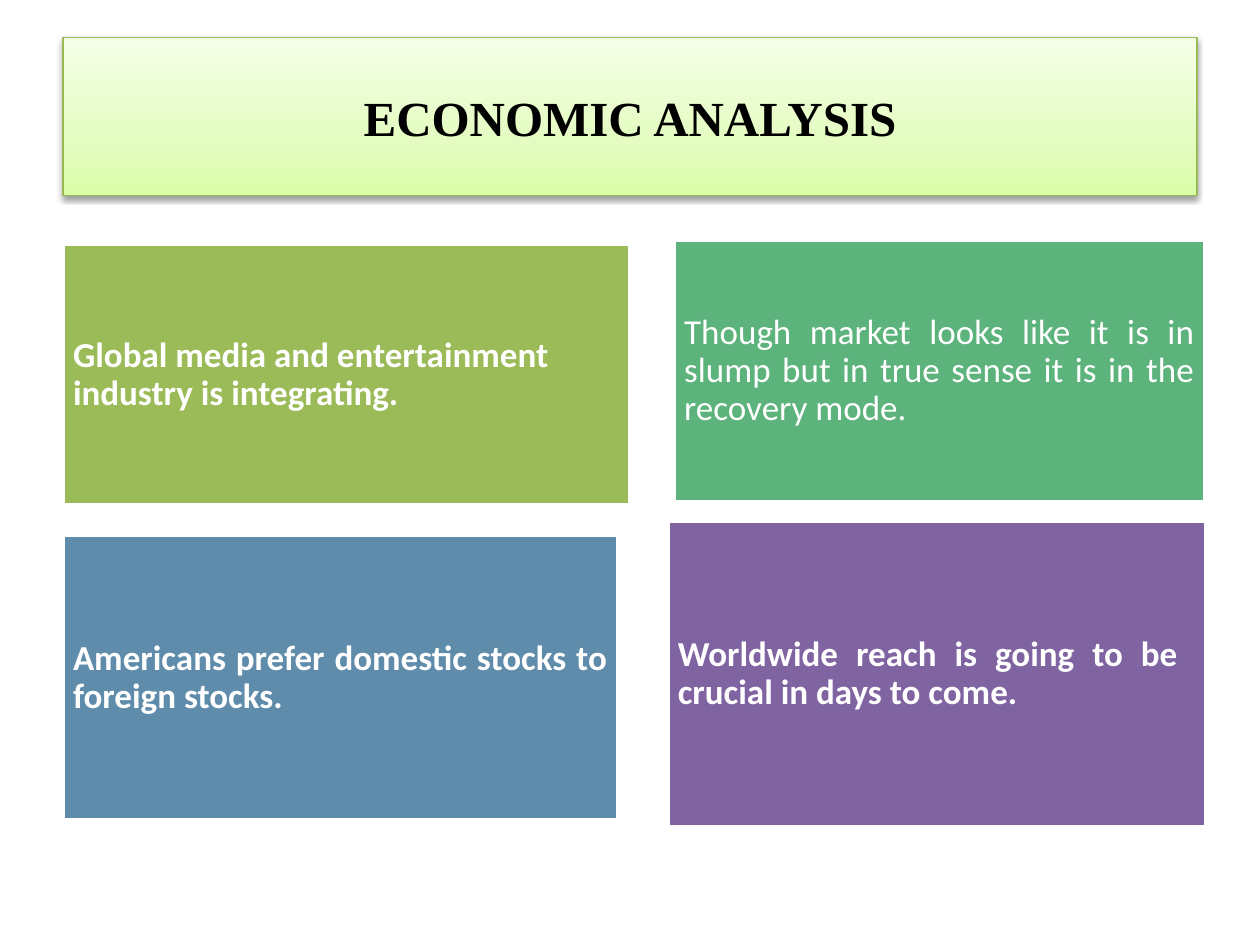
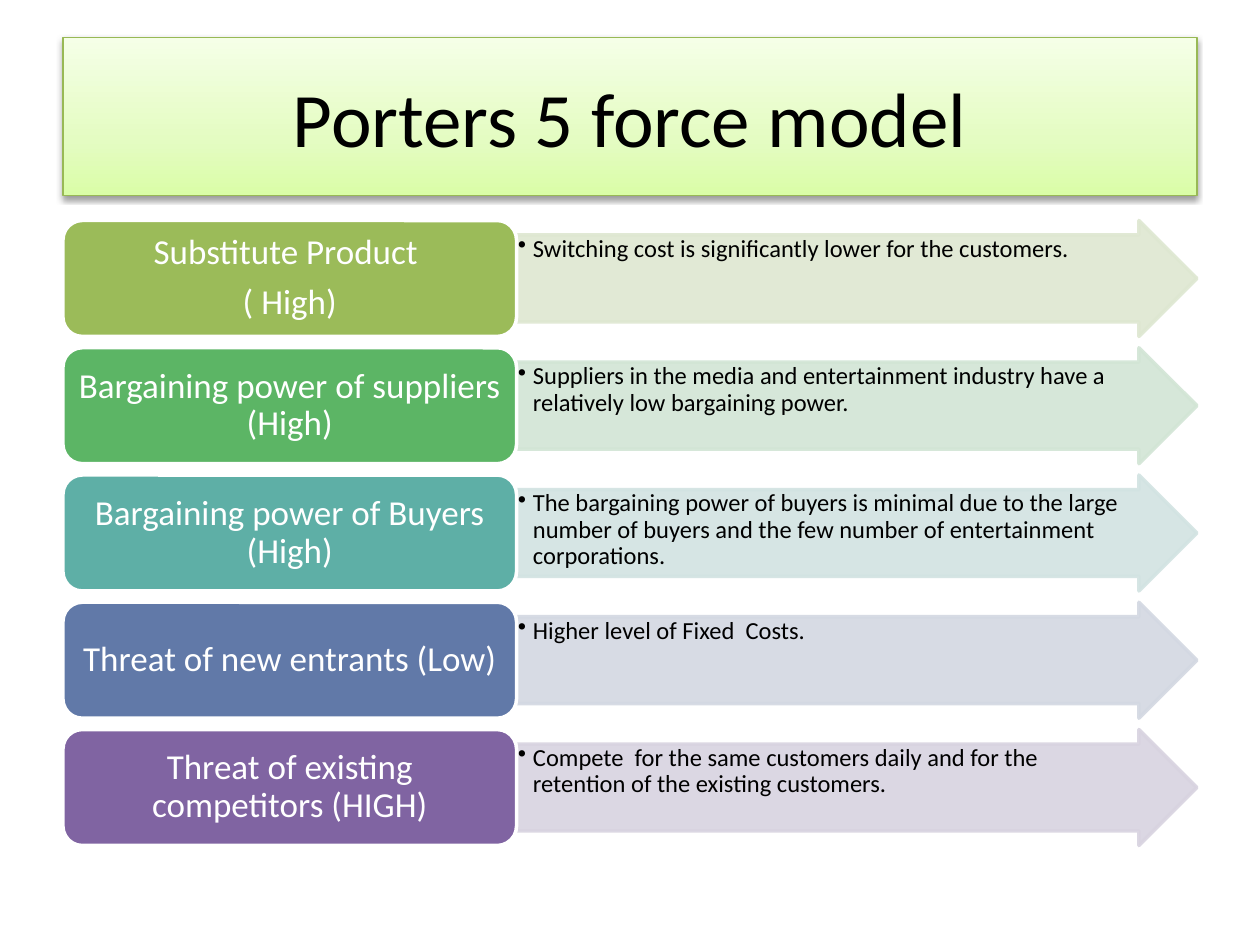
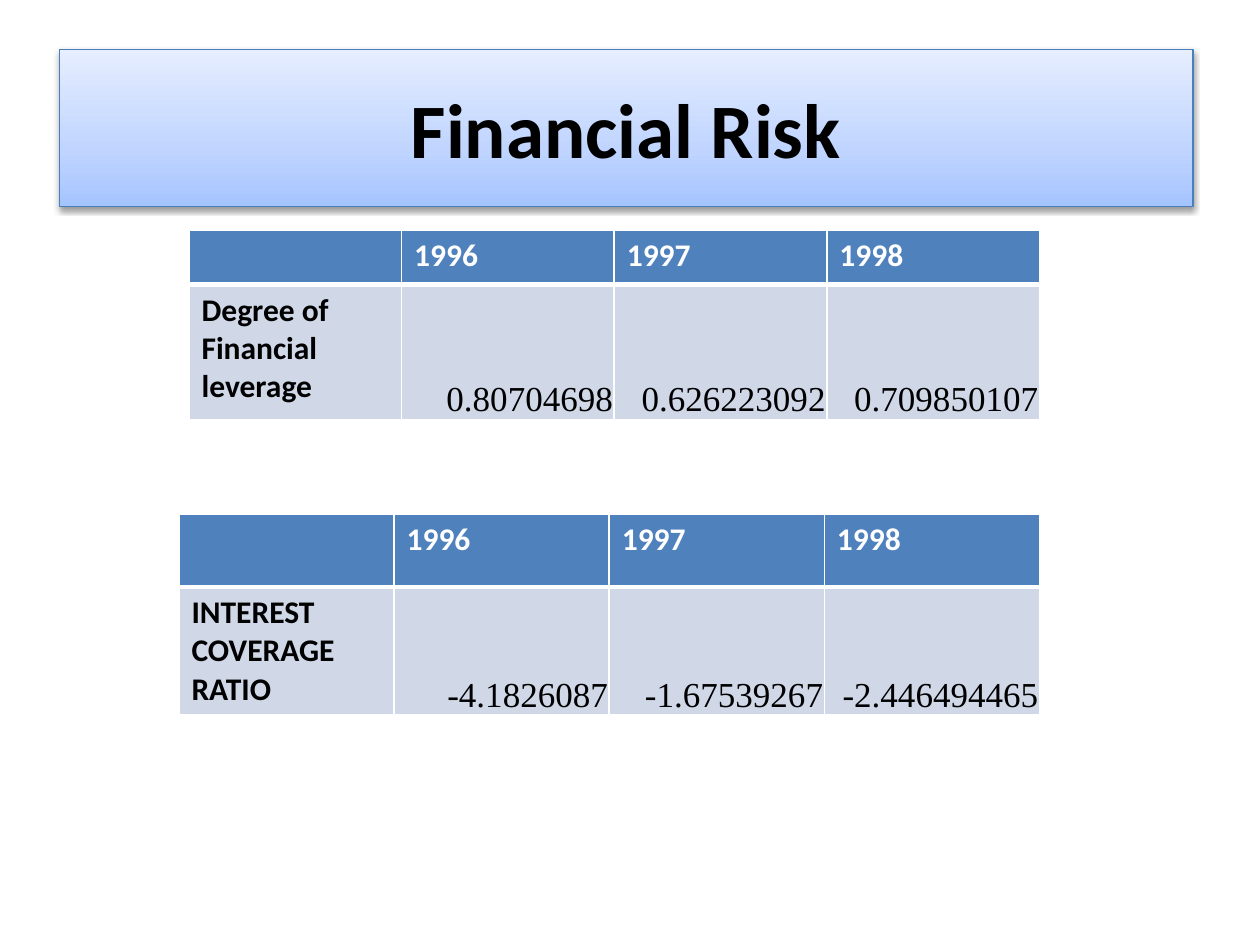
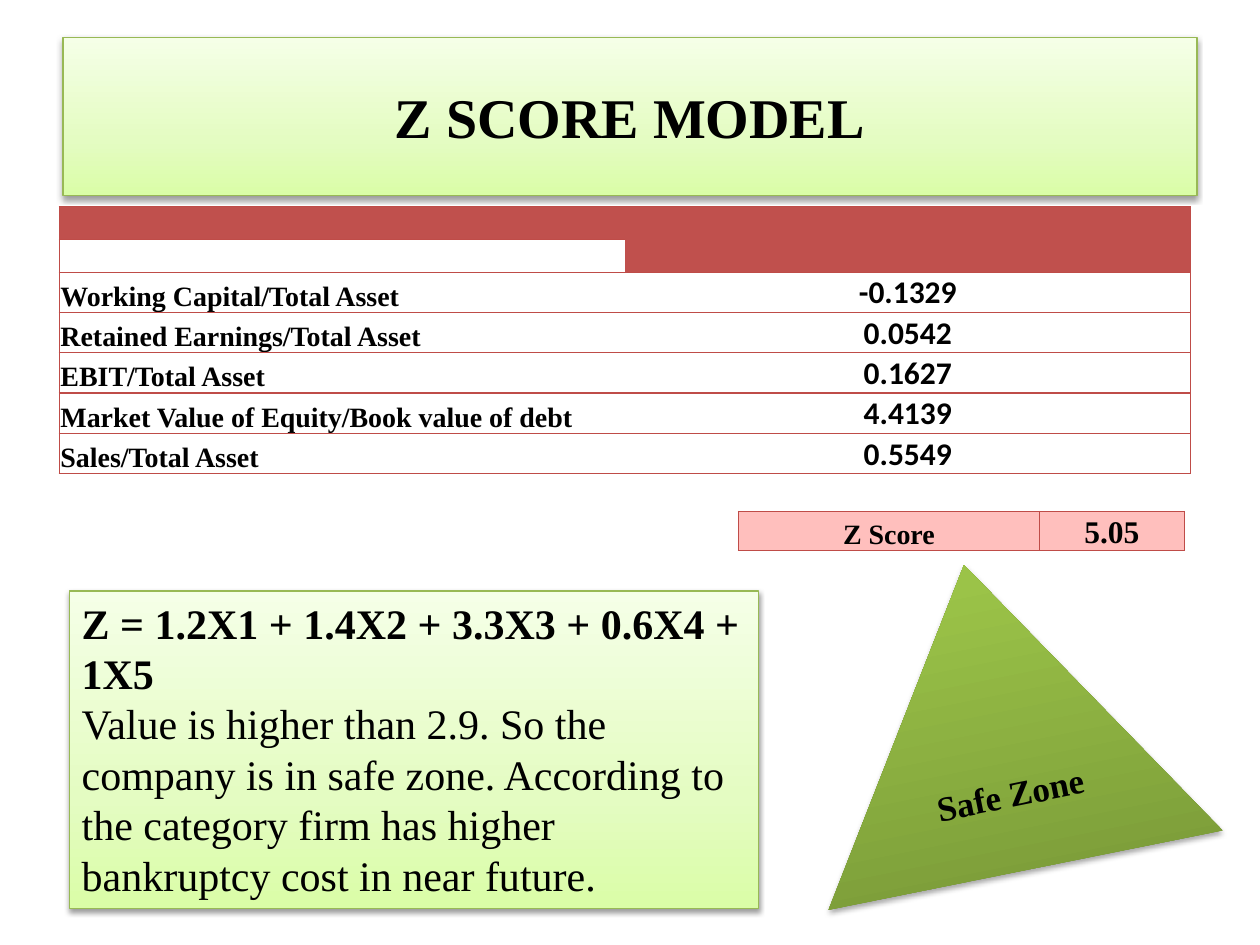
from dataclasses import dataclass, replace

from lxml.etree import SubElement, Element
from pptx import Presentation
from pptx.dml.color import RGBColor
from pptx.enum.shapes import MSO_SHAPE
from pptx.enum.text import MSO_ANCHOR, PP_ALIGN
from pptx.oxml.ns import qn
from pptx.shapes.autoshape import Shape
from pptx.slide import Slide
from pptx.table import Table, _Cell
from pptx.text.text import TextFrame
from pptx.util import Inches, Pt

BLACK = RGBColor(0x00, 0x00, 0x00)
WHITE = RGBColor(0xFF, 0xFF, 0xFF)
OLIVE = RGBColor(0x9B, 0xBB, 0x59)
OLIVE_LINE = RGBColor(0x98, 0xB9, 0x55)
MINT = RGBColor(0x5C, 0xB3, 0x7C)
STEEL = RGBColor(0x60, 0x8C, 0xAB)
PURPLE = RGBColor(0x80, 0x64, 0xA2)
GREEN = RGBColor(0x5C, 0xB5, 0x65)
TEAL = RGBColor(0x5E, 0xAF, 0xA6)
INDIGO = RGBColor(0x61, 0x79, 0xA8)
PALE_OLIVE = RGBColor(0xDE, 0xE7, 0xD1)
PALE_GREEN = RGBColor(0xD2, 0xE5, 0xD5)
PALE_TEAL = RGBColor(0xD2, 0xE3, 0xE2)
PALE_INDIGO = RGBColor(0xD3, 0xD8, 0xE2)
PALE_PURPLE = RGBColor(0xD8, 0xD3, 0xE0)
BLUE = RGBColor(0x4F, 0x81, 0xBD)
BLUE_LINE = RGBColor(0x4B, 0x7E, 0xBC)
PALE_BLUE = RGBColor(0xD0, 0xD8, 0xE8)
RED = RGBColor(0xC0, 0x50, 0x4D)
RED_LINE = RGBColor(0xBF, 0x4C, 0x48)
PINK = RGBColor(0xFF, 0xBF, 0xBD)

SANS, SERIF = "Calibri", "Times New Roman"


@dataclass(frozen=True)
class Box:
    left: float
    top: float
    width: float
    height: float

    def lengths(self) -> list[Inches]:
        return [Inches(v) for v in (self.left, self.top, self.width, self.height)]


@dataclass(frozen=True)
class Style:
    size: int
    name: str = SANS
    bold: bool = False
    color: RGBColor = BLACK
    align: PP_ALIGN = PP_ALIGN.LEFT
    spacing: float = 1.0
    after: int = 0


@dataclass(frozen=True)
class Glow:
    stops: tuple[tuple[int, str], ...]
    line: RGBColor | None
    shade: int = 38


@dataclass(frozen=True)
class Panel:
    box: Box
    fill: RGBColor
    text: str
    bold: bool = True
    align: PP_ALIGN = PP_ALIGN.JUSTIFY


@dataclass(frozen=True)
class Force:
    name: str
    reason: str
    fill: RGBColor
    pale: RGBColor


@dataclass(frozen=True)
class Ratio:
    box: Box
    header: float
    name: str
    values: tuple[str, ...]


LIME_GLOW = Glow(((0, "DAFDA7"), (35, "E4FCC2"), (100, "F5FFE7")), OLIVE_LINE)
BLUE_GLOW = Glow(((0, "A4C4FF"), (35, "BFD4FF"), (100, "E6EEFF")), BLUE_LINE)
LEAF_GLOW = Glow(((0, "779737"), (80, "9BC348"), (100, "9DC746")), None, 35)

TITLE_BOX = Box(0.5, 0.3, 9, 1.25)
TITLE = Style(44, align=PP_ALIGN.CENTER)
SERIF_TITLE = replace(TITLE, name=SERIF, bold=True)
DIAGRAM = Style(20, color=WHITE, align=PP_ALIGN.CENTER, spacing=0.9, after=7)
REASON = Style(14, spacing=0.9, after=2)
HEADER = Style(18, bold=True, color=WHITE)
TIGHT = (0.01, 0.01, 0.01, 0)
ROOMY = (0.1, 0.05, 0.1, 0.05)

PANELS = [
    Panel(Box(0.5, 1.94, 4.5, 2.07), OLIVE,
          "Global media and entertainment industry is integrating.", align=PP_ALIGN.LEFT),
    Panel(Box(5.35, 1.91, 4.21, 2.07), MINT,
          "Though market looks like it is in slump but in true sense it is in the "
          "recovery mode.", bold=False),
    Panel(Box(0.5, 4.25, 4.4, 2.26), STEEL,
          "Americans prefer domestic stocks to foreign stocks. "),
    Panel(Box(5.3, 4.14, 4.27, 2.42), PURPLE,
          "Worldwide reach is going to be  crucial in days to come."),
]

FORCES = [
    Force("Substitute Product \n( High)",
          "Switching cost is significantly lower for the customers.", OLIVE, PALE_OLIVE),
    Force("Bargaining power of suppliers (High)",
          "Suppliers in the media and entertainment industry have a relatively low "
          "bargaining power. ", GREEN, PALE_GREEN),
    Force("Bargaining power of Buyers (High)",
          "The bargaining power of buyers is minimal due to the large number of buyers "
          "and the few number of entertainment corporations.", TEAL, PALE_TEAL),
    Force("Threat of new entrants (Low)", "Higher level of Fixed  Costs.",
          INDIGO, PALE_INDIGO),
    Force("Threat of existing competitors (HIGH)",
          "Compete  for the same customers daily and for the retention of the existing "
          "customers.", PURPLE, PALE_PURPLE),
]

YEARS = ("1996", "1997", "1998")
RATIOS = [
    Ratio(Box(1.5, 1.83, 6.75, 1.5), 0.43, "Degree of Financial leverage",
          ("0.80704698", "0.626223092", "0.709850107")),
    Ratio(Box(1.42, 4.08, 6.83, 1.58), 0.58, "INTEREST COVERAGE RATIO",
          ("-4.1826087", "-1.67539267", "-2.446494465")),
]

Z_PARTS = [
    ("Working Capital/Total Asset", "-0.1329"),
    ("Retained Earnings/Total Asset", "0.0542"),
    ("EBIT/Total Asset", "0.1627"),
    ("Market Value of Equity/Book value of debt", "4.4139"),
    ("Sales/Total Asset", "0.5549"),
]


def set_all(target: object, values: dict[str, object]) -> None:
    for key, value in values.items():
        setattr(target, key, value)


def margins(inset: tuple[float, ...]) -> dict[str, object]:
    sides = ("left", "top", "right", "bottom")
    return {f"margin_{side}": Inches(v) for side, v in zip(sides, inset)}


def write(tf: TextFrame, *lines: tuple[str, Style]) -> None:
    for i, (text, style) in enumerate(lines):
        p = tf.add_paragraph() if i else tf.paragraphs[0]
        set_all(p, {"alignment": style.align, "line_spacing": style.spacing,
                    "space_after": Pt(style.after)})
        r = p.add_run()
        r.text = text
        set_all(r.font, {"name": style.name, "size": Pt(style.size), "bold": style.bold})
        r.font.color.rgb = style.color


def add_shape(s: Slide, kind: MSO_SHAPE, box: Box, inset: tuple[float, ...] = ROOMY,
              anchor: MSO_ANCHOR = MSO_ANCHOR.MIDDLE) -> Shape:
    sp = s.shapes.add_shape(kind, *box.lengths())
    sp.shadow.inherit = False
    set_all(sp.text_frame, {"word_wrap": True, "vertical_anchor": anchor, **margins(inset)})
    return sp


def paint(sp: Shape, fill: RGBColor, line: RGBColor) -> None:
    sp.fill.solid()
    sp.fill.fore_color.rgb = fill
    sp.line.color.rgb = line
    sp.line.width = Pt(2)


def paint_glow(sp: Shape, glow: Glow) -> None:
    sp.fill.gradient()
    sp.fill.gradient_angle = 90
    spPr = sp.element.spPr
    stops = spPr.find(".//" + qn("a:gsLst"))
    stops.clear()
    for pos, color in glow.stops:
        gs = SubElement(stops, qn("a:gs"), pos=str(pos * 1000))
        SubElement(gs, qn("a:srgbClr"), val=color)
    if glow.line is None:
        sp.line.fill.background()
    else:
        sp.line.color.rgb = glow.line
        sp.line.width = Pt(0.75)
    shadow = SubElement(spPr.find(qn("a:effectLst")), qn("a:outerShdw"),
                        blurRad=str(Pt(3.1)), dist=str(Pt(1.7)), dir="5400000",
                        rotWithShape="0")
    color = SubElement(shadow, qn("a:srgbClr"), val=str(BLACK))
    SubElement(color, qn("a:alpha"), val=str(glow.shade * 1000))


def add_title(s: Slide, text: str, style: Style, box: Box = TITLE_BOX,
              glow: Glow = LIME_GLOW) -> None:
    sp = add_shape(s, MSO_SHAPE.RECTANGLE, box)
    paint_glow(sp, glow)
    write(sp.text_frame, (text, style))


def add_table(s: Slide, box: Box, widths: list[float], heights: list[float]) -> Table:
    table = s.shapes.add_table(len(heights), len(widths), *box.lengths()).table
    set_all(table, {"first_row": False, "horz_banding": False})
    for column, width in zip(table.columns, widths):
        column.width = Inches(width)
    for row, height in zip(table.rows, heights):
        row.height = Inches(height)
    return table


def format_cell(cell: _Cell, fill: RGBColor, line: RGBColor, edges: dict[str, float],
                inset: tuple[float, ...] = TIGHT,
                anchor: MSO_ANCHOR = MSO_ANCHOR.BOTTOM) -> None:
    set_all(cell, {"vertical_anchor": anchor, **margins(inset)})
    cell.fill.solid()
    cell.fill.fore_color.rgb = fill
    tcPr = cell._tc.get_or_add_tcPr()
    for i, side in enumerate("LRTB"):
        ln = Element(qn(f"a:ln{side}"), w=str(Pt(edges.get(side, 0))))
        if side in edges:
            SubElement(SubElement(ln, qn("a:solidFill")), qn("a:srgbClr"), val=str(line))
        else:
            SubElement(ln, qn("a:noFill"))
        tcPr.insert(i, ln)


def shrink_empty(cell: _Cell) -> None:
    SubElement(cell.text_frame.paragraphs[0]._p, qn("a:endParaRPr"), sz="1200")


def economic_slide(s: Slide) -> None:
    add_title(s, "ECONOMIC ANALYSIS", replace(SERIF_TITLE, size=28))
    for panel in PANELS:
        sp = add_shape(s, MSO_SHAPE.RECTANGLE, panel.box, (0.08,) * 4)
        paint(sp, panel.fill, WHITE)
        write(sp.text_frame,
              (panel.text, replace(DIAGRAM, bold=panel.bold, align=panel.align)))


def add_bullet(tf: TextFrame) -> None:
    pPr = tf.paragraphs[0]._p.get_or_add_pPr()
    pPr.set("marL", str(Inches(0.12)))
    pPr.set("indent", str(-Inches(0.12)))
    SubElement(pPr, qn("a:buChar"), char="•")


def forces_slide(s: Slide) -> None:
    add_title(s, "Porters 5 force model", TITLE)
    for i, force in enumerate(FORCES):
        top = 1.75 + i * 1.01
        arrow = add_shape(s, MSO_SHAPE.RIGHT_ARROW, Box(4.1, top, 5.4, 0.92),
                          (0.01, 0.01, 0.23, 0.01), MSO_ANCHOR.TOP)
        arrow.adjustments[0] = 0.75
        arrow.adjustments[1] = 0.5
        paint(arrow, force.pale, force.pale)
        for color in arrow.element.spPr.iter(qn("a:srgbClr")):
            SubElement(color, qn("a:alpha"), val="90000")
        write(arrow.text_frame, (force.reason, REASON))
        add_bullet(arrow.text_frame)

        label = add_shape(s, MSO_SHAPE.ROUNDED_RECTANGLE, Box(0.5, top, 3.6, 0.92),
                          (0.08, 0.04, 0.08, 0.04))
        paint(label, force.fill, WHITE)
        write(label.text_frame, *[(line, DIAGRAM) for line in force.name.split("\n")])


def risk_slide(s: Slide) -> None:
    add_title(s, "Financial Risk", replace(TITLE, bold=True), Box(0.47, 0.39, 9, 1.25),
              BLUE_GLOW)
    number = Style(20, SERIF, align=PP_ALIGN.RIGHT)
    for ratio in RATIOS:
        box = ratio.box
        table = add_table(s, box, [box.width / 4] * 4,
                          [ratio.header, box.height - ratio.header])
        for col, (year, value) in enumerate(zip(("", *YEARS), (ratio.name, *ratio.values))):
            head, body = table.cell(0, col), table.cell(1, col)
            format_cell(head, BLUE, WHITE, {"L": 1, "R": 1, "T": 1, "B": 3},
                        ROOMY, MSO_ANCHOR.TOP)
            if year:
                write(head.text_frame, (year, HEADER))
            edges = {"L": 1, "R": 1, "T": 3, "B": 1}
            if col:
                format_cell(body, PALE_BLUE, WHITE, edges)
                write(body.text_frame, (value, number))
            else:
                format_cell(body, PALE_BLUE, WHITE, edges, ROOMY, MSO_ANCHOR.TOP)
                write(body.text_frame, (value, replace(HEADER, color=BLACK)))


def z_score_slide(s: Slide) -> None:
    add_title(s, "Z SCORE MODEL", replace(SERIF_TITLE, size=32))
    name = Style(16, SERIF, bold=True)
    value = Style(18, bold=True, align=PP_ALIGN.CENTER)
    thin = 0.75

    table = add_table(s, Box(0.47, 1.64, 8.98, 2.11), [4.49] * 2,
                      [0.26] * 2 + [0.32] * len(Z_PARTS))
    table.cell(0, 1).merge(table.cell(1, 1))
    for row in range(2):
        for col, side in enumerate("LR"):
            cell = table.cell(row, col)
            format_cell(cell, WHITE if (row, col) == (1, 0) else RED, RED_LINE,
                        {side: thin, "T": thin, "B": thin})
            shrink_empty(cell)
    for row, texts in enumerate(Z_PARTS, start=2):
        for col, (text, style, side) in enumerate(zip(texts, (name, value), "LR")):
            cell = table.cell(row, col)
            format_cell(cell, WHITE, RED_LINE, {side: thin, "T": thin, "B": thin})
            write(cell.text_frame, (text, style))

    rule = add_shape(s, MSO_SHAPE.RECTANGLE, Box(0.55, 4.69, 5.47, 2.52),
                     anchor=MSO_ANCHOR.TOP)
    paint_glow(rule, LIME_GLOW)
    write(rule.text_frame,
          ("Z = 1.2X1 + 1.4X2 + 3.3X3 + 0.6X4 + 1X5", Style(24, SERIF, bold=True)),
          ("Value is higher than 2.9. So the company is in safe zone. According to the "
           "category firm has higher bankruptcy cost in near future. ", Style(24, SERIF)))

    zone = add_shape(s, MSO_SHAPE.ISOSCELES_TRIANGLE, Box(6.3, 4.46, 3.19, 2.47))
    zone.rotation = 348.6
    paint_glow(zone, LEAF_GLOW)
    write(zone.text_frame, ("Safe Zone", replace(SERIF_TITLE, size=20)))

    total = add_table(s, Box(5.86, 4.06, 3.54, 0.31), [2.39, 1.15], [0.31])
    for col, (text, size) in enumerate((("Z Score", 16), ("5.05", 18))):
        cell = total.cell(0, col)
        format_cell(cell, PINK, RED_LINE, dict.fromkeys("LRTB", thin))
        write(cell.text_frame, (text, replace(SERIF_TITLE, size=size)))


def main() -> None:
    prs = Presentation()
    set_all(prs, {"slide_width": Inches(10), "slide_height": Inches(7.5)})
    for build in (economic_slide, forces_slide, risk_slide, z_score_slide):
        build(prs.slides.add_slide(prs.slide_layouts[6]))
    prs.save("out.pptx")


main()
